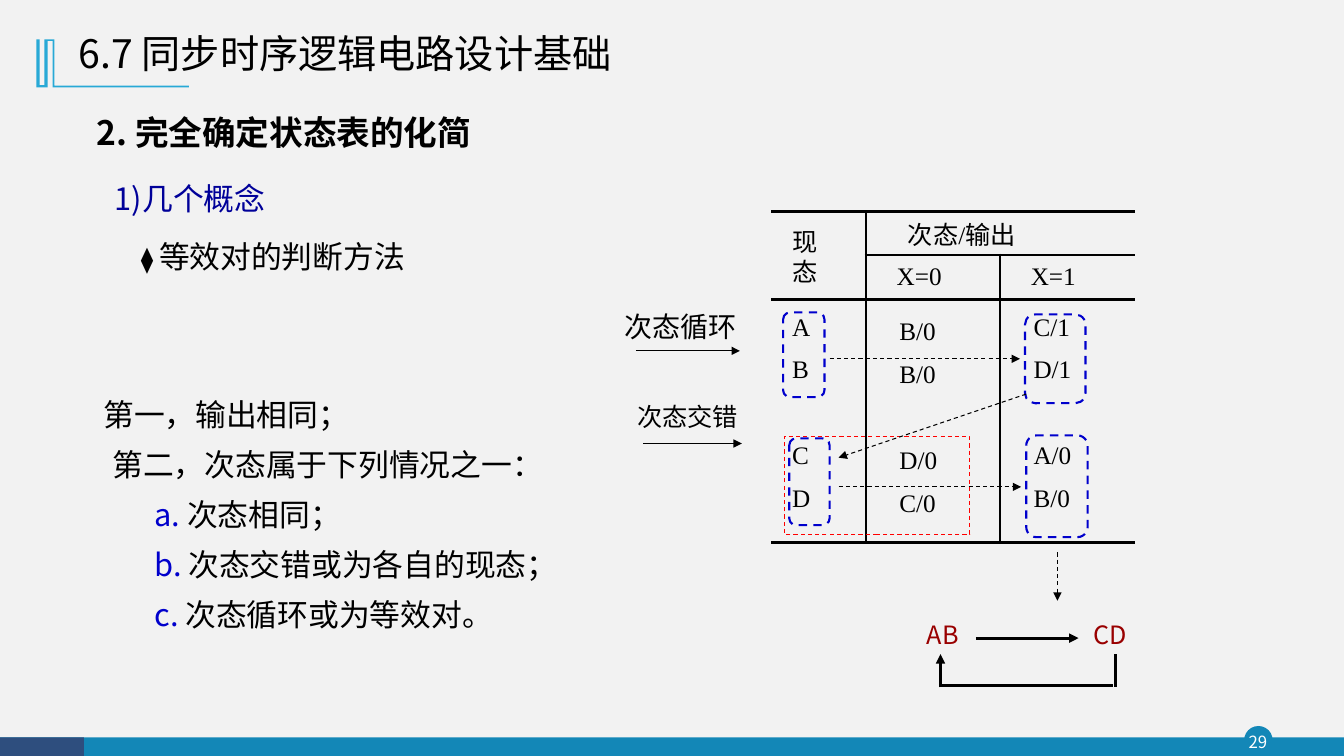
"""Build the slide on simplifying a completely specified state table."""
from lxml import etree
from pptx import Presentation
from pptx.dml.color import RGBColor
from pptx.enum.dml import MSO_LINE
from pptx.enum.shapes import MSO_CONNECTOR, MSO_SHAPE
from pptx.enum.text import MSO_ANCHOR, PP_ALIGN
from pptx.oxml.ns import qn
from pptx.util import Pt

DASH, STRAIGHT = MSO_LINE.DASH, MSO_CONNECTOR.STRAIGHT
RECT, ROUNDED, OVAL = MSO_SHAPE.RECTANGLE, MSO_SHAPE.ROUNDED_RECTANGLE, MSO_SHAPE.OVAL
MIDDLE, BOTTOM = MSO_ANCHOR.MIDDLE, MSO_ANCHOR.BOTTOM
LEFT, CENTER = PP_ALIGN.LEFT, PP_ALIGN.CENTER

BLACK = RGBColor(0x00, 0x00, 0x00)
WHITE = RGBColor(0xFF, 0xFF, 0xFF)
PAPER = RGBColor(0xF2, 0xF2, 0xF2)
TEAL = RGBColor(0x13, 0x87, 0xB7)
NAVY = RGBColor(0x2E, 0x4E, 0x7E)
SKY = RGBColor(0x28, 0xA9, 0xD6)
BLUE = RGBColor(0x00, 0x00, 0xCC)
DARK_BLUE = RGBColor(0x00, 0x00, 0x99)
RED = RGBColor(0xFF, 0x00, 0x00)
DARK_RED = RGBColor(0x99, 0x00, 0x00)
SANS, SERIF = "Noto Sans CJK SC", "Times New Roman"

TITLE = "6.7 同步时序逻辑电路设计基础"
LABELS = [
    ("2. 完全确定状态表的化简", 62, 76.3, 405, 36, 24, BLACK, True),
    ("1)几个概念", 75, 124.5, 253, 34, 22, DARK_BLUE, False),
    ("次态循环", 439, 217.5, 101, 32, 20, BLACK, False),
    ("次态交错", 448, 283, 92, 29, 18, BLACK, False),
    ("AB", 655, 438.5, 63, 36, 18, DARK_RED, False),
    ("CD", 774, 438.5, 63, 36, 18, DARK_RED, False),
]
METHOD = ("⧫ ", "等效对的判断方法")
CONDITIONS = [
    (12, "", "第一，输出相同；"),
    (18.5, "", "第二，次态属于下列情况之一："),
    (48.5, "a. ", "次态相同；"),
    (48.5, "b. ", "次态交错或为各自的现态；"),
    (48.5, "c. ", "次态循环或为等效对。"),
]
PRESENT_STATE = "现态"
STATE_TABLE = [
    ("", "次态/输出", ""),
    ("", "X=0", "X=1"),
    ("A", "B/0", "C/1"),
    ("B", "B/0", "D/1"),
    ("", "", ""),
    ("C", "D/0", "A/0"),
    ("D", "C/0", "B/0"),
]
TABLE_LEFT, TABLE_TOP = 550.8, 151.2
COLUMN_WIDTHS = (67.7, 95.8, 96.5)
ROW_HEIGHTS = (31, 31.5, 34, 30.7, 30.7, 30.7, 47.6)
LAST_ROW_GAP = 16.9
FRAMES = [
    (RECT, 560.2, 311.8, 132.5, 69.8, RED, 0.75),
    (ROUNDED, 559.4, 223.2, 29.5, 60.5, BLUE, 1.5),
    (ROUNDED, 732.2, 224.6, 43.2, 63.4, BLUE, 1.5),
    (ROUNDED, 563.8, 313.2, 28.8, 61.9, BLUE, 1.5),
    (ROUNDED, 733, 311, 43.9, 72.7, BLUE, 1.5),
]
THIN_ARROWS = [(454.3, 250.6, 528.5, 250.6), (459.4, 316.8, 529.9, 316.8)]
DASHED_ARROWS = [
    (592.6, 256.3, 728.6, 256.3),
    (733, 281.5, 599, 326.9),
    (599, 347.8, 729.4, 347.8),
    (755.3, 394.6, 755.3, 429.1),
]
LOOP_ARROWS = [(697, 455.8, 770.4, 455.8), (671.8, 491, 671.8, 467.3)]
LOOP_LINES = [(797, 467.3, 797, 491), (673.2, 489.6, 794.9, 489.6)]
ORNAMENT = [
    (38.9, 28.1), (38.9, 61.2), (134.9, 61.2), (134.9, 62.4), (37.5, 62.4),
    (37.5, 29.3), (34.1, 29.3), (34.1, 62.4), (25.9, 62.4), (25.9, 28.1),
    (28.3, 28.1), (28.3, 60.8), (31.7, 60.8), (31.7, 28.1),
]


def style(para, size, color, name=SANS, bold=False):
    font = para.font
    font.size, font.name, font.bold = Pt(size), name, bold
    font.color.rgb = color
    if name == SANS:
        etree.SubElement(font._element, qn("a:ea"), typeface=SANS)


def add_box(page, left, top, width, height):
    box = page.shapes.add_textbox(Pt(left), Pt(top), Pt(width), Pt(height))
    box.text_frame.word_wrap = True
    return box.text_frame


def add_span(para, text, size=None, color=None):
    span = para.add_run()
    span.text = text
    if size:
        span.font.size = Pt(size)
    if color is not None:
        span.font.color.rgb = color


def add_line(page, ends, width, arrow=False, dashed=False):
    line = page.shapes.add_connector(STRAIGHT, *map(Pt, ends))
    line.line.color.rgb, line.line.width = BLACK, Pt(width)
    if dashed:
        line.line.dash_style = DASH
    if arrow:
        etree.SubElement(line.line._get_or_add_ln(), qn("a:tailEnd"), type="triangle")
    etree.SubElement(line._element.spPr, qn("a:effectLst"))


def fill_solid(shape, color):
    shape.shadow.inherit = False
    shape.fill.solid()
    shape.fill.fore_color.rgb = color
    shape.line.fill.background()


def add_solid(page, kind, left, top, width, height, color):
    fill_solid(page.shapes.add_shape(kind, Pt(left), Pt(top), Pt(width), Pt(height)), color)


def set_borders(cell, drawn):
    properties = cell._tc.get_or_add_tcPr()
    for index, side in enumerate("LRTB"):
        border = etree.Element(qn("a:ln" + side), w=str(Pt(2.25)))
        if side in drawn:
            fill = etree.SubElement(border, qn("a:solidFill"))
            etree.SubElement(fill, qn("a:srgbClr"), val=str(BLACK))
        else:
            etree.SubElement(border, qn("a:noFill"))
        properties.insert(index, border)


def border_sides(row, column):
    sides = ""
    if row in (0, 2) or (row == 1 and column > 0):
        sides += "T"
    if row in (1, len(STATE_TABLE) - 1) or (row == 0 and column > 0):
        sides += "B"
    if column == 1 or (column == 2 and row > 0):
        sides += "L"
    if column == 0 or (column == 1 and row > 0):
        sides += "R"
    return sides


def add_state_table(page):
    frame = page.shapes.add_table(len(ROW_HEIGHTS), len(COLUMN_WIDTHS), Pt(TABLE_LEFT),
                                  Pt(TABLE_TOP), Pt(sum(COLUMN_WIDTHS)), Pt(sum(ROW_HEIGHTS)))
    table = frame.table
    table.first_row = table.horz_banding = False
    for column, width in zip(table.columns, COLUMN_WIDTHS):
        column.width = Pt(width)
    for row, (texts, height) in enumerate(zip(STATE_TABLE, ROW_HEIGHTS)):
        table.rows[row].height = Pt(height)
        for column, text in enumerate(texts):
            cell = table.cell(row, column)
            cell.text = text
            style(cell.text_frame.paragraphs[0], 18, BLACK, SERIF)
            cell.fill.background()
            set_borders(cell, border_sides(row, column))
            cell.vertical_anchor = BOTTOM if row > 1 else MIDDLE
            gap = (LAST_ROW_GAP if row == 6 else 0) + (0.4 if column == 1 else 3.8)
            cell.margin_top, cell.margin_bottom = 0, Pt(gap if row > 1 else 0)
            cell.margin_left = Pt(15 if column == 0 else 30 if row == 0 else 22 if row == 1 else 24)
            cell.margin_right = 0
    table.cell(0, 1).merge(table.cell(0, 2))
    heading = add_box(page, 558.7, 158.4, 47.5, 51)
    heading.text = PRESENT_STATE
    heading.paragraphs[0].line_spacing = Pt(21.4)
    style(heading.paragraphs[0], 18, BLACK, SERIF)


def main():
    deck = Presentation()
    deck.slide_width, deck.slide_height = Pt(960), Pt(540)
    page = deck.slides.add_slide(deck.slide_layouts[5])
    page.background.fill.solid()
    page.background.fill.fore_color.rgb = PAPER

    title = page.shapes.title
    title.left, title.top, title.width, title.height = Pt(49), Pt(15), Pt(578), Pt(49)
    title.text_frame.text = TITLE
    title.text_frame.vertical_anchor = MIDDLE
    para = title.text_frame.paragraphs[0]
    para.alignment, para.line_spacing = LEFT, 0.9
    style(para, 28, BLACK)

    add_solid(page, OVAL, 888.7, 518.6, 20.4, 20.4, TEAL)
    add_solid(page, RECT, 0, 526.7, 960, 13.3, TEAL)
    add_solid(page, RECT, 0, 526.7, 60, 13.3, NAVY)
    number = add_box(page, 887, 519, 23, 22.3)
    number.margin_left = number.margin_right = number.margin_top = number.margin_bottom = 0
    number.vertical_anchor = MIDDLE
    number.text = "29"
    number.paragraphs[0].alignment = CENTER
    style(number.paragraphs[0], 12, WHITE)

    points = [(Pt(x), Pt(y)) for x, y in ORNAMENT]
    builder = page.shapes.build_freeform(*points[0])
    builder.add_line_segments(points[1:], close=True)
    fill_solid(builder.convert_to_shape(), SKY)

    for text, left, top, width, height, size, color, bold in LABELS:
        label = add_box(page, left, top, width, height)
        label.text = text
        style(label.paragraphs[0], size, color, bold=bold)

    para = add_box(page, 93.6, 166.3, 225, 34).paragraphs[0]
    style(para, 22, BLACK)
    add_span(para, METHOD[0], size=18)
    add_span(para, METHOD[1])

    conditions = add_box(page, 54.7, 270, 383, 187)
    for index, (indent, marker, text) in enumerate(CONDITIONS):
        para = conditions.add_paragraph() if index else conditions.paragraphs[0]
        para.line_spacing = 1.35
        para._p.get_or_add_pPr().set("marL", str(Pt(indent)))
        style(para, 22, BLACK)
        if marker:
            add_span(para, marker, color=BLUE)
        add_span(para, text)

    add_state_table(page)
    for kind, left, top, width, height, color, weight in FRAMES:
        frame = page.shapes.add_shape(kind, Pt(left), Pt(top), Pt(width), Pt(height))
        frame.shadow.inherit = False
        frame.fill.background()
        frame.line.color.rgb, frame.line.width = color, Pt(weight)
        frame.line.dash_style = DASH
    for ends in THIN_ARROWS:
        add_line(page, ends, 0.75, arrow=True)
    for ends in DASHED_ARROWS:
        add_line(page, ends, 0.75, arrow=True, dashed=True)
    for ends in LOOP_ARROWS:
        add_line(page, ends, 2.25, arrow=True)
    for ends in LOOP_LINES:
        add_line(page, ends, 2.25)
    deck.save("out.pptx")


if __name__ == "__main__":
    main()
